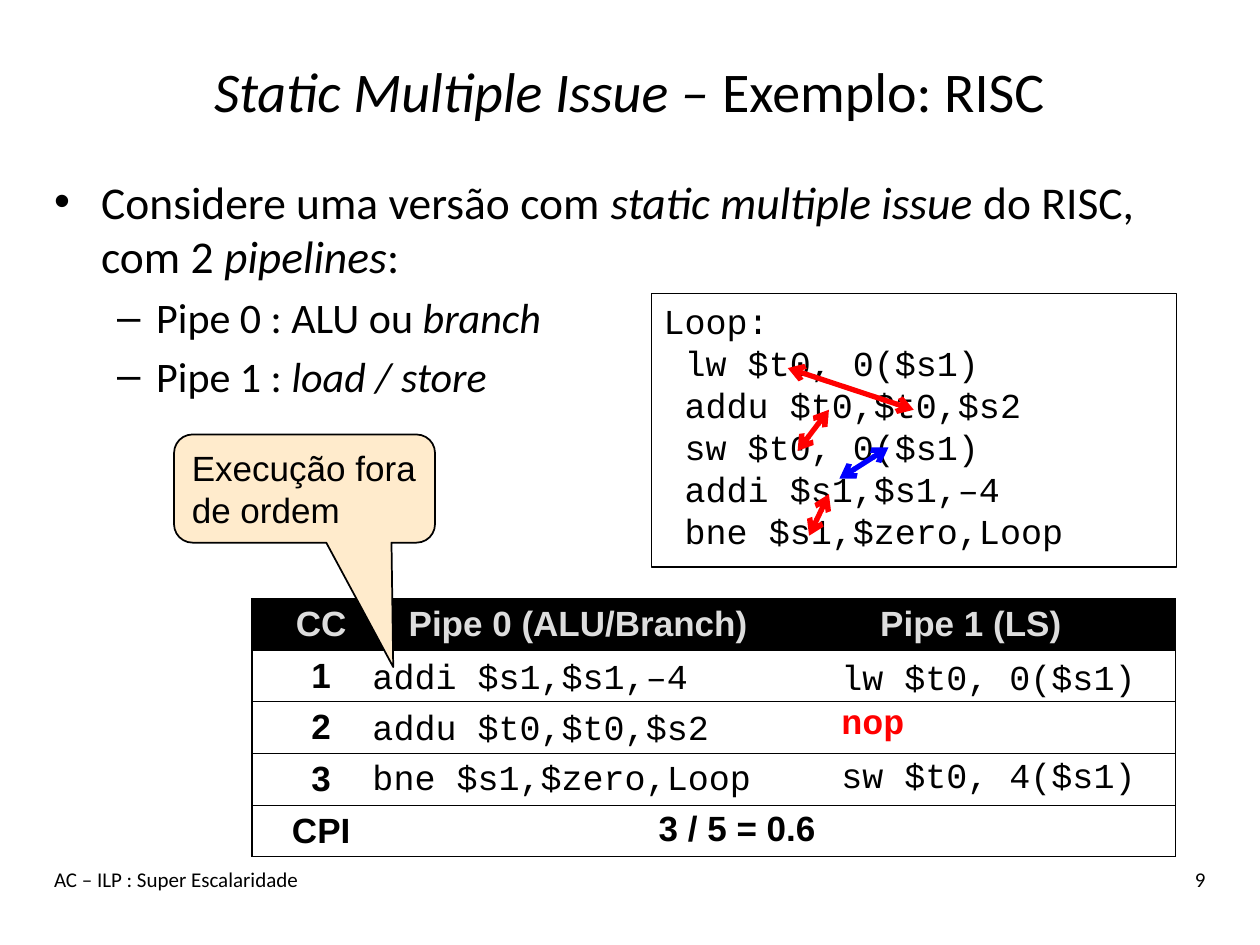
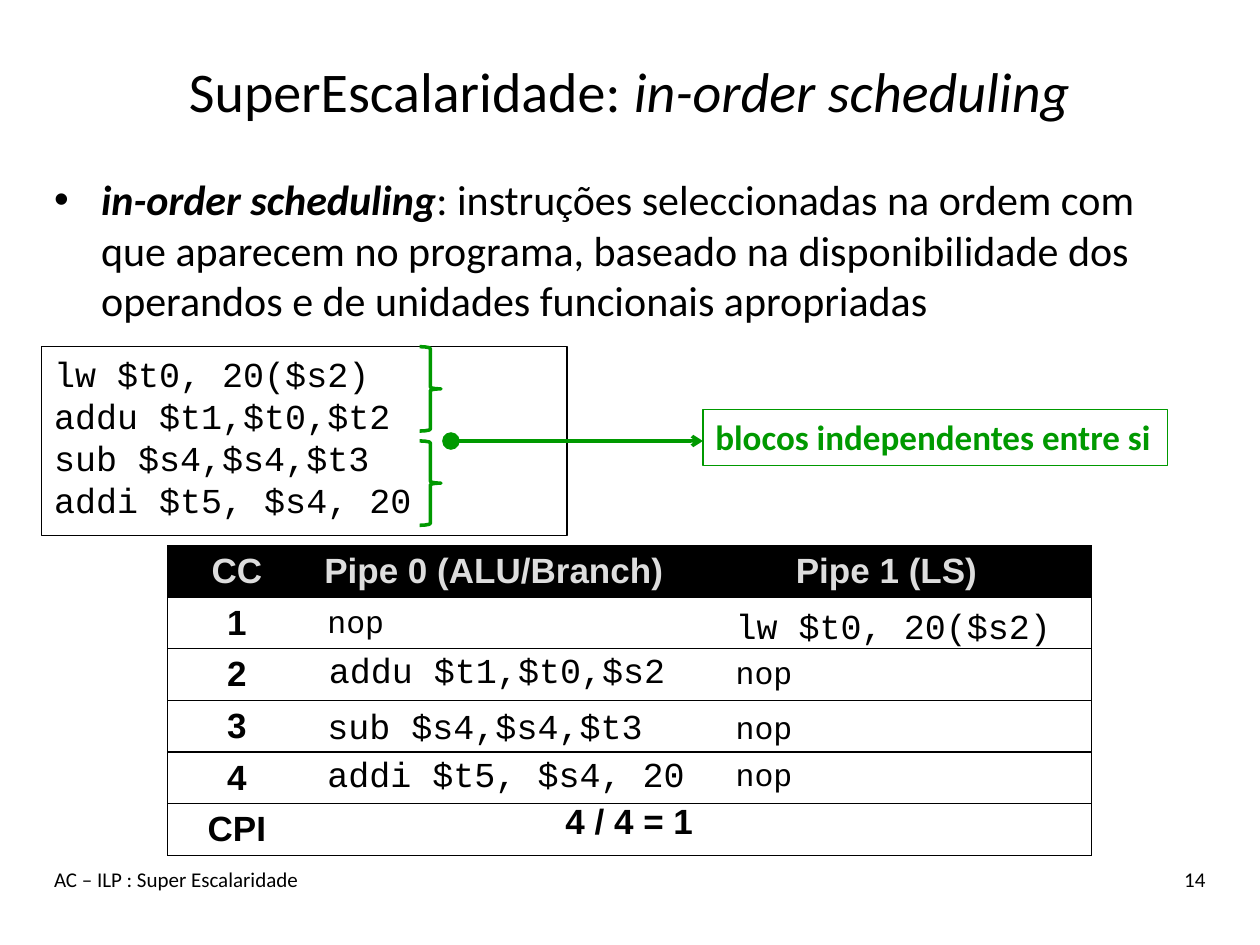
"""Build two slides on static and in-order multiple issue scheduling."""
from lxml.etree import SubElement
from pptx import Presentation
from pptx.dml.color import RGBColor
from pptx.enum.shapes import MSO_CONNECTOR, MSO_SHAPE
from pptx.enum.text import MSO_ANCHOR, PP_ALIGN
from pptx.oxml.ns import qn
from pptx.util import Cm, Pt

BLACK = RGBColor(0x00, 0x00, 0x00)
SILVER = RGBColor(0xDD, 0xDD, 0xDD)
RED = RGBColor(0xFF, 0x00, 0x00)
BLUE = RGBColor(0x00, 0x00, 0xFF)
GREEN = RGBColor(0x00, 0x99, 0x00)
CREAM = RGBColor(0xFF, 0xEB, 0xCC)
SANS, ARIAL, MONO = "Calibri", "Arial", "Courier New"
LEFT, MID, RIGHT = PP_ALIGN.LEFT, PP_ALIGN.CENTER, PP_ALIGN.RIGHT


def write(slide, area, paras, size, font=SANS, color=BLACK, align=LEFT,
          kind=None, edge=None, width=0.75):
    """Add a text box or outlined shape; each run is (text, style letters)."""
    area = [Cm(n) for n in area]
    if kind is None:
        shape = slide.shapes.add_textbox(*area)
    else:
        shape = slide.shapes.add_shape(kind, *area)
        shape.shadow.inherit = False
        shape.fill.background()
        shape.line.color.rgb = edge
        shape.line.width = Pt(width)
    frame = shape.text_frame
    frame.word_wrap = True
    frame.vertical_anchor = MSO_ANCHOR.TOP
    for num, runs in enumerate(paras):
        para = frame.add_paragraph() if num else frame.paragraphs[0]
        para.alignment = align
        if font != SANS:
            para.line_spacing = Pt(size * 1.2)
        for text, style in runs:
            run = para.add_run()
            run.text = text
            run.font.name = font
            run.font.size = Pt(size)
            run.font.color.rgb = color
            run.font.bold = "b" in style
            run.font.italic = "i" in style
    return shape


def arrow(slide, ends, color, width, head="arrow", scale="med"):
    """Add a straight line with marks at both ends."""
    line = slide.shapes.add_connector(
        MSO_CONNECTOR.STRAIGHT, *[Cm(n) for n in ends])
    line.line.color.rgb = color
    line.line.width = Pt(width)
    pen = line.line._get_or_add_ln()
    SubElement(pen, qn("a:headEnd"), type=head, w=scale, len=scale)
    SubElement(pen, qn("a:tailEnd"), type="arrow")
    SubElement(line._element.spPr, qn("a:effectLst"))


pages = [
    {
        "title": [("Static Multiple Issue – ", "i"), ("Exemplo: RISC", "")],
        "num": "9",
        "body": [
            (26, "•", [("Considere uma versão com ", ""),
                       ("static multiple issue ", "i"),
                       ("do RISC, com 2 ", ""), ("pipelines", "i"), (":", "")]),
            (24, "–", [("Pipe 0 : ALU ou ", ""), ("branch", "i")]),
            (24, "–", [("Pipe 1 : ", ""), ("load / store", "i")]),
        ],
        "deep": 5.5,
        "code": ["Loop:", " lw $t0, 0($s1)", " addu $t0,$t0,$s2",
                 " sw $t0, 0($s1)", " addi $s1,$s1,–4", " bne $s1,$zero,Loop"],
        "box": (13.13, 5.92, 10.59, 5.51),
        "grid": (5.08, 12.07),
        "steps": ["1", "2", "3"],
        "slots": [
            (16.71, 13.08, "lw $t0, 0($s1)", 20),
            (7.26, 13.06, "addi $s1,$s1,–4", 20),
            (7.26, 14.1, "addu $t0,$t0,$s2", 20),
            (7.26, 15.11, "bne $s1,$zero,Loop", 20),
            (16.71, 15.06, "sw $t0, 4($s1)", 20),
        ],
        "cpi": ((13.03, 16.13, 3.89, 1.12), "3 / 5 = 0.6"),
    },
    {
        "title": [("SuperEscalaridade: ", ""), ("in-order scheduling", "i")],
        "num": "14",
        "body": [
            (24, "•", [("in-order scheduling", "bi"),
                       (": instruções seleccionadas na ordem com que aparecem "
                        "no programa, baseado na disponibilidade dos operandos "
                        "e de unidades funcionais apropriadas", "")]),
        ],
        "deep": 3.38,
        "code": ["lw $t0, 20($s2)", "addu $t1,$t0,$t2",
                 "sub $s4,$s4,$t3", "addi $t5, $s4, 20"],
        "box": (0.84, 6.99, 10.59, 3.81),
        "grid": (3.38, 11),
        "steps": ["1", "2", "3", "4"],
        "slots": [
            (6.35, 12.01, "nop", 18),
            (14.58, 13.03, "nop", 18),
            (14.58, 14.15, "nop", 18),
            (14.58, 15.09, "nop", 18),
            (14.58, 12.07, "lw $t0, 20($s2)", 20),
            (6.38, 12.95, "addu $t1,$t0,$s2", 20),
            (6.35, 14.07, "sub $s4,$s4,$t3", 20),
            (6.35, 15.04, "addi $t5, $s4, 20", 20),
        ],
        "cpi": ((11.15, 16, 3.2, 1.12), "4 / 4 = 1"),
    },
]

deck = Presentation()
deck.slide_width, deck.slide_height = Cm(25.4), Cm(19.05)

for page in pages:
    slide = deck.slides.add_slide(deck.slide_layouts[6])
    title = write(slide, (0.84, 0.64, 23.7, 2.34), [page["title"]], 32, align=MID)
    title.text_frame.vertical_anchor = MSO_ANCHOR.MIDDLE
    write(slide, (0.84, 17.35, 17.78, 1.27),
          [[("AC – ILP : Super Escalaridade", "")]], 12)
    write(slide, (21.16, 17.35, 3.39, 1.27), [[(page["num"], "")]], 12, align=RIGHT)

    body = write(slide, (0.84, 3.38, 23.7, page["deep"]),
                 [runs for size, mark, runs in page["body"]], 24)
    for para, (size, mark, runs) in zip(body.text_frame.paragraphs, page["body"]):
        para.space_before = Pt(size * 0.2)
        for run in para.runs:
            run.font.size = Pt(size)
        left, hang = (0.95, 0.95) if mark == "•" else (2.06, 0.79)
        props = para._p.get_or_add_pPr()
        props.set("marL", str(Cm(left)))
        props.set("indent", str(-Cm(hang)))
        SubElement(props, qn("a:buFont"), typeface="Arial")
        SubElement(props, qn("a:buChar"), char=mark)

    write(slide, page["box"], [[(text, "")] for text in page["code"]], 20, MONO,
          kind=MSO_SHAPE.RECTANGLE, edge=BLACK)

    rows = [["CC", "Pipe 0 (ALU/Branch)", "Pipe 1 (LS)"]]
    rows += [[step, "", ""] for step in page["steps"] + ["CPI"]]
    last = len(rows) - 1
    left, top = page["grid"]
    table = slide.shapes.add_table(len(rows), 3, Cm(left), Cm(top), Cm(18.62),
                                   Cm(1.04 * len(rows))).table
    table.first_row = table.horz_banding = False
    for col, wide in zip(table.columns, (2.79, 7.57, 8.26)):
        col.width = Cm(wide)
    for down, row in enumerate(rows):
        table.rows[down].height = Cm(1.04)
        for over, text in enumerate(row):
            cell = table.cell(down, over)
            cell.margin_bottom = 0
            props = cell._tc.get_or_add_tcPr()
            drawn = {"T", "B"}
            if over == 0:
                drawn.add("L")
            if over == 2 or (down, over) == (last, 1):
                drawn.add("R")
            for side in "LRTB":
                edge = SubElement(props, qn("a:ln" + side), w=str(Pt(0.75)))
                if side in drawn:
                    fill = SubElement(edge, qn("a:solidFill"))
                    SubElement(fill, qn("a:srgbClr"), val=str(BLACK))
                else:
                    SubElement(edge, qn("a:noFill"))
            if down:
                cell.fill.background()
            else:
                cell.fill.solid()
                cell.fill.fore_color.rgb = BLACK
            if text:
                para = cell.text_frame.paragraphs[0]
                para.alignment = MID
                run = para.add_run()
                run.text = text
                run.font.name, run.font.size = ARIAL, Pt(20)
                run.font.bold = True
                run.font.color.rgb = BLACK if down else SILVER
    table.cell(last, 1).merge(table.cell(last, 2))

    for left, top, text, size in page["slots"]:
        wide = round(len(text) * size * 0.0212 + 0.58, 2)
        write(slide, (left, top, wide, 1.12), [[(text, "")]], size, MONO)
    area, text = page["cpi"]
    write(slide, area, [[(text, "b")]], 20, ARIAL)

issue, order = deck.slides

write(issue, (16.71, 13.97, 1.85, 1.12), [[("nop", "b")]], 20, MONO, RED)
for ends, color in [
    ((15.88, 7.42, 18.42, 8.26), RED),
    ((16.71, 8.26, 16.08, 9.09), RED),
    ((16.71, 9.96, 16.31, 10.8), RED),
    ((17.91, 9.02, 16.92, 9.65), BLUE),
]:
    arrow(issue, ends, color, 3)
note = write(issue, (3.51, 8.76, 5.26, 2.18),
             [[("Execução fora", "")], [("de ordem", "")]], 20, ARIAL,
             kind=MSO_SHAPE.ROUNDED_RECTANGULAR_CALLOUT, edge=BLACK, width=1)
note.fill.solid()
note.fill.fore_color.rgb = CREAM
note.text_frame.margin_right = 0
for num, value in enumerate((0.34, 1.65, 0.17)):
    note.adjustments[num] = value

for top in (6.99, 8.89):
    write(order, (8.46, top, 0.43, 1.7), [], 20,
          kind=MSO_SHAPE.RIGHT_BRACE, edge=GREEN, width=2)
arrow(order, (9.09, 8.89, 14.17, 8.89), GREEN, 2, "oval", "lg")
write(order, (14.17, 8.26, 9.37, 1.12),
      [[("blocos independentes entre si", "b")]], 20, color=GREEN,
      kind=MSO_SHAPE.RECTANGLE, edge=GREEN)

deck.save("out.pptx")
